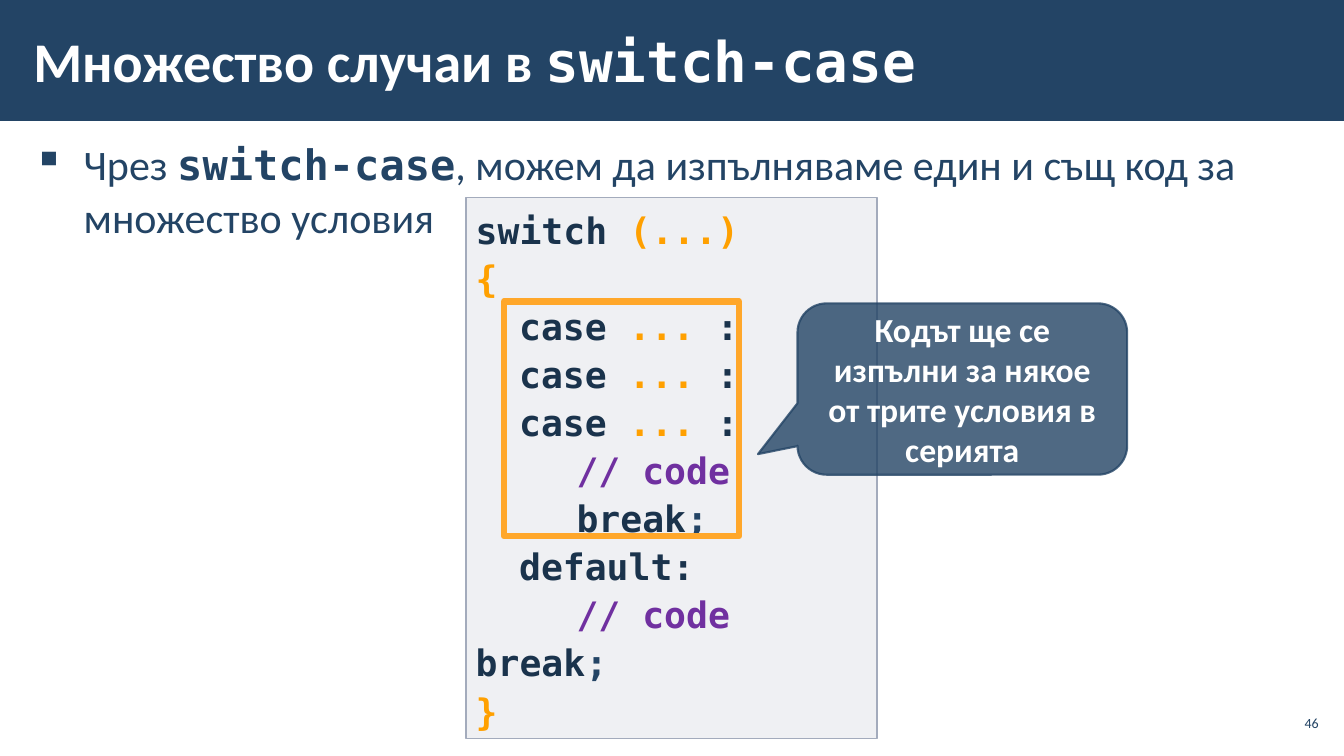
from dataclasses import dataclass

from lxml import etree
from pptx import Presentation
from pptx.dml.color import RGBColor
from pptx.enum.shapes import MSO_SHAPE
from pptx.enum.text import MSO_ANCHOR, MSO_AUTO_SIZE, PP_ALIGN
from pptx.oxml.ns import qn
from pptx.util import Inches, Pt

RECT = MSO_SHAPE.RECTANGLE
CALLOUT = MSO_SHAPE.ROUNDED_RECTANGULAR_CALLOUT
TOP, MIDDLE = MSO_ANCHOR.TOP, MSO_ANCHOR.MIDDLE
LEFT, CENTER, RIGHT = PP_ALIGN.LEFT, PP_ALIGN.CENTER, PP_ALIGN.RIGHT
NO_FIT, GROW = MSO_AUTO_SIZE.NONE, MSO_AUTO_SIZE.SHAPE_TO_FIT_TEXT

SANS, MONO = "Calibri", "DejaVu Sans Mono"
NAVY, WHITE, INK = "234465", "FFFFFF", "1A334C"
AMBER, PURPLE = "FFA000", "7030A0"
CASE_INDENT, BODY_INDENT = 0.43, 1.0


@dataclass(frozen=True)
class Span:
    text: str
    color: str | None = None
    font: str | None = None
    bold: bool | None = None


@dataclass(frozen=True)
class CodeLine:
    indent: float
    spans: tuple[Span, ...]


@dataclass(frozen=True)
class Panel:
    kind: int
    box: tuple[float, float, float, float]
    fill: str | None = None
    fill_alpha: int = 100
    line: str | None = None
    line_width: float = 1
    line_alpha: int = 100


CASE = CodeLine(CASE_INDENT, (Span("case ", INK), Span("... ", AMBER), Span(":", INK)))
COMMENT = CodeLine(BODY_INDENT, (Span("// code", PURPLE),))
BREAK = (Span("break", INK), Span(";", NAVY))
CODE = (
    CodeLine(0, (Span("switch ", INK), Span("(...)", AMBER))),
    CodeLine(0, (Span("{", AMBER),)),
    CASE,
    CASE,
    CASE,
    COMMENT,
    CodeLine(BODY_INDENT, BREAK),
    CodeLine(CASE_INDENT, (Span("default:", INK),)),
    COMMENT,
    CodeLine(0, BREAK),
    CodeLine(0, (Span("}", AMBER),)),
)

HEADER = Panel(RECT, (0, 0, 13.33, 1.2), NAVY)
CODE_PANEL = Panel(RECT, (4.62, 1.96, 4.08, 5.37), "C2C7D2", 25, "A3ABBC")
CASES_FRAME = Panel(RECT, (5, 2.99, 2.33, 2.33), line="FFA72A", line_width=4.5)
NOTE = Panel(CALLOUT, (7.91, 3.01, 3.27, 1.7), NAVY, 80, NAVY, 1.5, 80)


def rgb(color: str) -> RGBColor:
    """Turn a hex string into a colour."""
    return RGBColor.from_string(color)


def set_alpha(fill_parent, percent: int) -> None:
    """Make the solid fill directly inside an element translucent."""
    if percent < 100:
        solid = fill_parent.find(qn("a:solidFill"))
        etree.SubElement(solid[0], qn("a:alpha"), val=str(percent * 1000))


def add_panel(slide, panel: Panel):
    """Draw a preset shape with its fill and outline."""
    shape = slide.shapes.add_shape(panel.kind, *map(Inches, panel.box))
    shape.shadow.inherit = False
    if panel.fill:
        shape.fill.solid()
        shape.fill.fore_color.rgb = rgb(panel.fill)
        set_alpha(shape.fill._xPr, panel.fill_alpha)
    else:
        shape.fill.background()
    if panel.line:
        shape.line.color.rgb = rgb(panel.line)
        shape.line.width = Pt(panel.line_width)
        set_alpha(shape.line._ln, panel.line_alpha)
    else:
        shape.line.fill.background()
    return shape


def set_frame(frame, anchor, inset: tuple[float, float] = (0.1, 0.05), fit=NO_FIT) -> None:
    """Set wrapping, anchoring and insets of a text frame."""
    frame.word_wrap = True
    frame.auto_size = fit
    frame.vertical_anchor = anchor
    frame.margin_left = frame.margin_right = Inches(inset[0])
    frame.margin_top = frame.margin_bottom = Inches(inset[1])


def write(paragraph, spans: tuple[Span, ...], size: float, align=LEFT,
          font: str | None = None, color: str | None = None, bold: bool | None = None) -> None:
    """Write spans, with what they share set on the paragraph."""
    paragraph.alignment = align
    shared = paragraph.font
    shared.size, shared.name, shared.bold = Pt(size), font, bold
    if color:
        shared.color.rgb = rgb(color)
    for span in spans:
        run = paragraph.add_run()
        run.text = span.text
        if span.font:
            run.font.name = span.font
        if span.bold is not None:
            run.font.bold = span.bold
        if span.color:
            run.font.color.rgb = rgb(span.color)


def set_indent(paragraph, left: float, first: float = 0, bullet: str | None = None) -> None:
    """Set the indents of a paragraph and its bullet."""
    properties = paragraph._p.get_or_add_pPr()
    properties.set("marL", str(Inches(left)))
    properties.set("indent", str(Inches(first)))
    if bullet:
        mark = etree.Element(qn("a:buChar"), char=bullet)
        properties.find(qn("a:defRPr")).addprevious(mark)


def add_text_box(slide, box: tuple[float, float, float, float], anchor, inset: tuple[float, float]):
    """Add a wrapping text box and return its first paragraph."""
    frame = slide.shapes.add_textbox(*map(Inches, box)).text_frame
    set_frame(frame, anchor, inset)
    return frame.paragraphs[0]


def add_title(slide) -> None:
    """Place the title on the header band."""
    band = add_panel(slide, HEADER)
    title = slide.shapes.title
    title._element.addprevious(band._element)
    title.left, title.top, title.width, title.height = map(Inches, (0.21, 0.11, 10.39, 0.97))
    set_frame(title.text_frame, MIDDLE, (0.12, 0.04))
    spans = (Span("Множество случаи в ", font=SANS), Span("switch-case", font=MONO))
    write(title.text_frame.paragraphs[0], spans, 40, color=WHITE, bold=True)


def add_statement(slide) -> None:
    """Add the bulleted statement."""
    statement = add_text_box(slide, (0.21, 1.31, 12.92, 5.69), TOP, (0.12, 0.04))
    spans = (
        Span("Чрез ", font=SANS),
        Span("switch-case", font=MONO, bold=True),
        Span(", можем да изпълняваме един и същ код за множество условия", font=SANS),
    )
    write(statement, spans, 30, color=NAVY)
    statement.line_spacing = 1.05
    statement.space_before = statement.space_after = Pt(6)
    set_indent(statement, 0.5, -0.5, "▪")


def add_code(slide) -> None:
    """Add the code panel with one paragraph per line."""
    frame = add_panel(slide, CODE_PANEL).text_frame
    set_frame(frame, MIDDLE, fit=GROW)
    for index, line in enumerate(CODE):
        paragraph = frame.add_paragraph() if index else frame.paragraphs[0]
        write(paragraph, line.spans, 26, font=MONO, bold=True)
        paragraph.line_spacing = 1.1
        set_indent(paragraph, line.indent)


def add_note(slide) -> None:
    """Add the callout that explains the case series."""
    callout = add_panel(slide, NOTE)
    for index, value in enumerate((-0.62, 0.38, 0.17)):
        callout.adjustments[index] = value
    set_frame(callout.text_frame, MIDDLE)
    message = Span("Кодът ще се изпълни за някое от трите условия в серията")
    write(callout.text_frame.paragraphs[0], (message,), 24, CENTER, SANS, WHITE, True)


def main() -> None:
    """Build the slide and save it."""
    deck = Presentation()
    deck.slide_width, deck.slide_height = Inches(13.33), Inches(7.5)
    slide = deck.slides.add_slide(deck.slide_layouts[5])
    add_title(slide)
    add_statement(slide)
    page_number = add_text_box(slide, (12.65, 7, 0.47, 0.34), MIDDLE, (0.04, 0.04))
    write(page_number, (Span("46"),), 10, RIGHT, SANS, NAVY)
    add_code(slide)
    add_panel(slide, CASES_FRAME)
    add_note(slide)
    deck.save("out.pptx")


if __name__ == "__main__":
    main()
